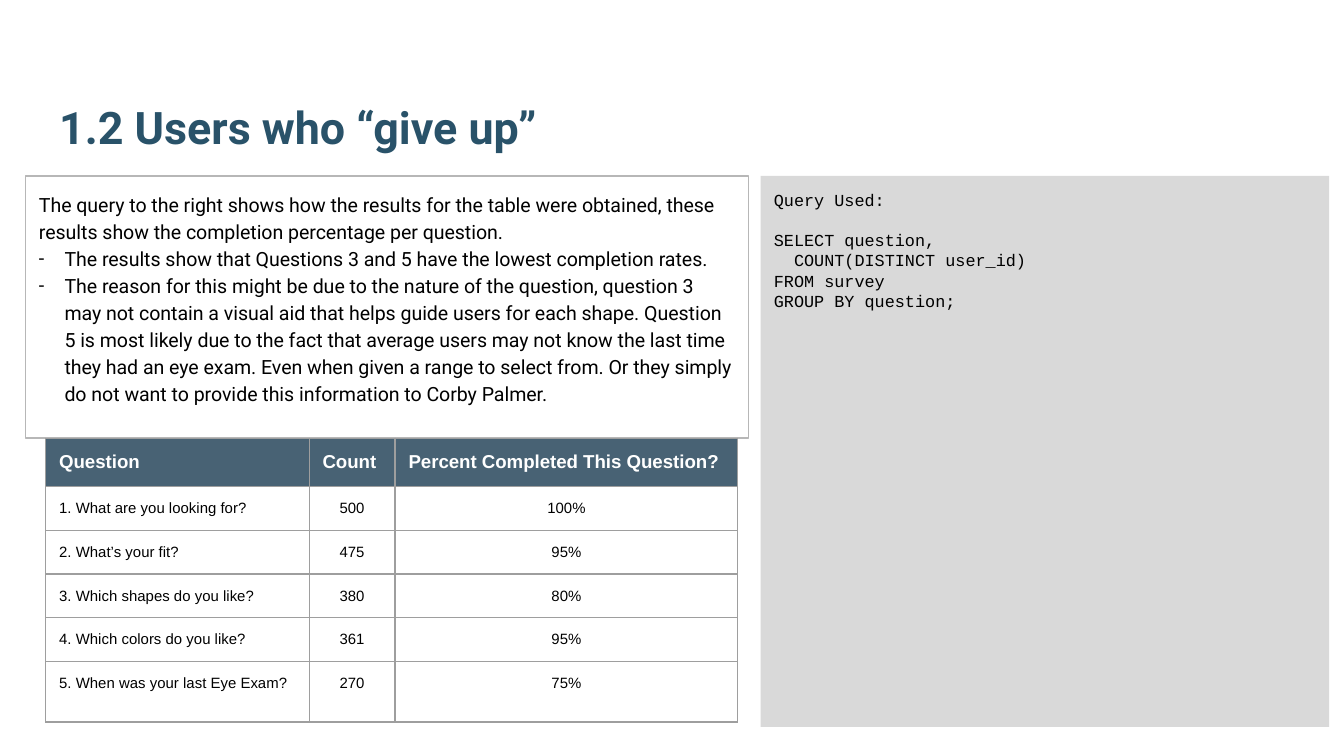
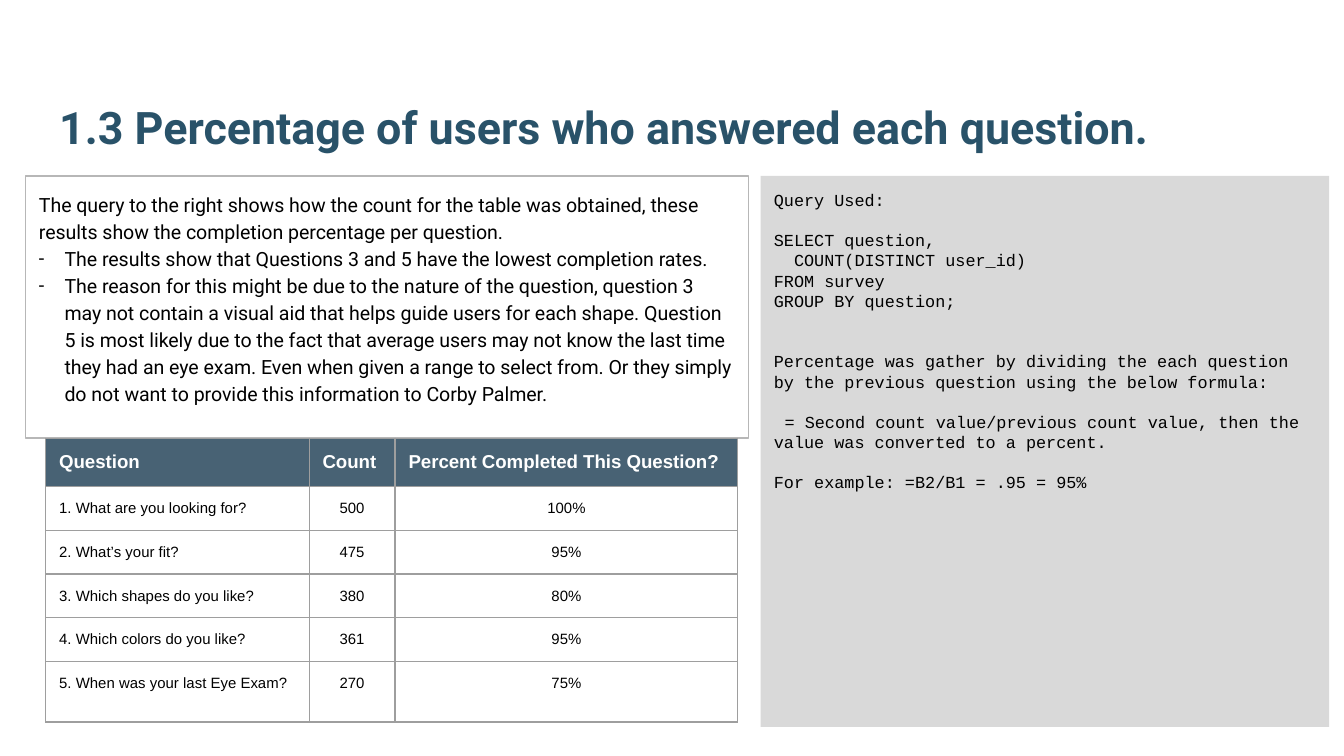
from dataclasses import dataclass

from lxml import etree
from pptx import Presentation
from pptx import util as u
from pptx.dml import color
from pptx.enum import shapes, text
from pptx.oxml import ns

NAVY, HEADER, BLACK, WHITE = "295269", "204056", "000000", "FFFFFF"
PANEL, OUTLINE, GRID = "D9D9D9", "B7B7B7", "9E9E9E"
HEADING_FONT, CODE_FONT, TABLE_FONT = "Roboto", "Courier New", "Arial"
SLIDE_WIDTH = u.Inches(10)
SLIDE_HEIGHT = SLIDE_WIDTH * 9 // 16
INSET = u.Inches(0.1)
CODE_LINE = 10.8
COLUMN_WIDTHS = (1.96, 0.64, 2.55)
ROW_HEIGHTS = (0.36, *[0.32] * 4, 0.45)


@dataclass(frozen=True)
class Area:
    left: float
    top: float
    width: float
    height: float

    def lengths(self) -> tuple:
        return tuple(u.Inches(v) for v in (self.left, self.top, self.width, self.height))


@dataclass(frozen=True)
class QueryLine:
    wording: str
    lines_before: int = 0
    first_indent: float = 0


@dataclass(frozen=True)
class Finding:
    title: str
    intro: str
    query: tuple


TITLE_AREA = Area(0.34, 0.32, 9.32, 0.92)
QUERY_AREA = Area(5.66, 1.31, 4.23, 4.1)
ANALYSIS_AREA = Area(0.19, 1.31, 5.38, 1.95)
RESULTS_AREA = Area(0.34, 3.26, sum(COLUMN_WIDTHS), sum(ROW_HEIGHTS))

REASONS = (
    "The results show that Questions 3 and 5 have the lowest completion rates.",
    "The reason for this might be due to the nature of the question, question 3 may not "
    "contain a visual aid that helps guide users for each shape. Question 5 is most likely "
    "due to the fact that average users may not know the last time they had an eye exam. "
    "Even when given a range to select from. Or they simply do not want to provide this "
    "information to Corby Palmer.",
)
RESULTS = (
    ("Question", "Count", "Percent Completed This Question?"),
    ("1. What are you looking for?", "500", "100%"),
    ("2. What’s your fit?", "475", "95%"),
    ("3. Which shapes do you like?", "380", "80%"),
    ("4. Which colors do you like?", "361", "95%"),
    ("5. When was your last Eye Exam?", "270", "75%"),
)
COUNT_QUERY = (
    QueryLine("Query Used:"),
    QueryLine("SELECT question,", 1),
    QueryLine("  COUNT(DISTINCT user_id)"),
    QueryLine("FROM survey"),
    QueryLine("GROUP BY question;"),
)
PERCENT_METHOD = (
    QueryLine("Percentage was gather by dividing the each question by the previous "
              "question using the below formula:", 2),
    QueryLine("= Second count value/previous count value, then the value was converted "
              "to a percent.", 1, 0.08),
    QueryLine("For example: =B2/B1 = .95 = 95%", 1),
)
FINDINGS = (
    Finding(
        "1.2 Users who “give up”",
        "The query to the right shows how the results for the table were obtained, these "
        "results show the completion percentage per question.",
        COUNT_QUERY,
    ),
    Finding(
        "1.3 Percentage of users who answered each question.",
        "The query to the right shows how the count for the table was obtained, these "
        "results show the completion percentage per question.",
        COUNT_QUERY + PERCENT_METHOD,
    ),
)


def rgb(value: str) -> color.RGBColor:
    return color.RGBColor.from_string(value)


def child(parent, tag: str, **attributes):
    element = etree.SubElement(parent, ns.qn(tag))
    for key, value in attributes.items():
        element.set(key, str(value))
    return element


def style(paragraph, face: str, size: float, ink: str, bold: bool = False) -> None:
    font = paragraph.font
    font.name, font.size, font.bold = face, u.Pt(size), bold
    font.color.rgb = rgb(ink)


def prepare(frame, anchor=text.MSO_ANCHOR.TOP) -> None:
    frame.word_wrap = True
    frame.auto_size = text.MSO_AUTO_SIZE.NONE
    frame.vertical_anchor = anchor
    frame.margin_left = frame.margin_right = INSET
    frame.margin_top = frame.margin_bottom = INSET


def place(holder, area: Area) -> None:
    holder.left, holder.top, holder.width, holder.height = area.lengths()


def add_line(frame, index: int, wording: str):
    paragraph = frame.paragraphs[0] if index == 0 else frame.add_paragraph()
    paragraph.text = wording
    paragraph.alignment = text.PP_ALIGN.LEFT
    return paragraph


def set_indent(paragraph, margin: float, first: float) -> None:
    properties = paragraph._p.get_or_add_pPr()
    properties.set("marL", str(u.Inches(margin)))
    properties.set("indent", str(u.Inches(first)))


def set_title(slide, wording: str) -> None:
    title = slide.shapes.title
    place(title, TITLE_AREA)
    prepare(title.text_frame, text.MSO_ANCHOR.BOTTOM)
    style(add_line(title.text_frame, 0, wording), HEADING_FONT, 24, NAVY, True)


def set_analysis(slide, intro: str) -> None:
    analysis = slide.placeholders[1]
    place(analysis, ANALYSIS_AREA)
    analysis.line.color.rgb = rgb(OUTLINE)
    analysis.line.width = u.Pt(0.75)
    prepare(analysis.text_frame)
    for index, wording in enumerate((intro, *REASONS)):
        paragraph = add_line(analysis.text_frame, index, wording)
        properties = paragraph._p.get_or_add_pPr()
        if index == 0:
            set_indent(paragraph, 0, 0)
            child(properties, "a:buNone")
        else:
            set_indent(paragraph, 0.19, -0.19)
            child(child(properties, "a:buClr"), "a:srgbClr", val=BLACK)
            child(properties, "a:buFont", typeface=HEADING_FONT)
            child(properties, "a:buChar", char="-")
        paragraph.line_spacing = 1.15
        paragraph.space_before = u.Pt(0)
        style(paragraph, HEADING_FONT, 10.5, BLACK)


def add_query(slide, lines: tuple) -> None:
    panel = slide.shapes.add_shape(shapes.MSO_SHAPE.RECTANGLE, *QUERY_AREA.lengths())
    panel.shadow.inherit = False
    panel.fill.solid()
    panel.fill.fore_color.rgb = rgb(PANEL)
    panel.line.fill.background()
    prepare(panel.text_frame)
    for index, line in enumerate(lines):
        paragraph = add_line(panel.text_frame, index, line.wording)
        if line.first_indent:
            set_indent(paragraph, 0, line.first_indent)
        if line.lines_before:
            paragraph.space_before = u.Pt(CODE_LINE * line.lines_before)
        style(paragraph, CODE_FONT, 9, BLACK)


def format_cell(cell, wording: str, is_header: bool, centred: bool) -> None:
    cell.margin_left = cell.margin_right = INSET
    cell.margin_top = cell.margin_bottom = INSET
    properties = cell._tc.get_or_add_tcPr()
    for side in ("a:lnL", "a:lnR", "a:lnT", "a:lnB"):
        border = child(properties, side, w=u.Pt(0.75))
        child(child(border, "a:solidFill"), "a:srgbClr", val=GRID)
    paragraph = add_line(cell.text_frame, 0, wording)
    if is_header:
        cell.fill.solid()
        cell.fill.fore_color.rgb = rgb(HEADER)
        child(properties.find(ns.qn("a:solidFill"))[0], "a:alpha", val=82000)
        style(paragraph, TABLE_FONT, 10, WHITE, True)
    else:
        cell.fill.background()
        style(paragraph, TABLE_FONT, 8, BLACK)
    if centred:
        paragraph.alignment = text.PP_ALIGN.CENTER


def add_results(slide) -> None:
    results = slide.shapes.add_table(
        len(RESULTS), len(COLUMN_WIDTHS), *RESULTS_AREA.lengths()).table
    results.horz_banding = False
    for column, width in zip(results.columns, COLUMN_WIDTHS):
        column.width = u.Inches(width)
    for row, height in zip(results.rows, ROW_HEIGHTS):
        row.height = u.Inches(height)
    for r, answers in enumerate(RESULTS):
        for c, wording in enumerate(answers):
            format_cell(results.cell(r, c), wording, r == 0, r > 0 and c > 0)


def main() -> None:
    deck = Presentation()
    deck.slide_width, deck.slide_height = SLIDE_WIDTH, SLIDE_HEIGHT
    for finding in FINDINGS:
        slide = deck.slides.add_slide(deck.slide_layouts[1])
        set_title(slide, finding.title)
        add_query(slide, finding.query)
        set_analysis(slide, finding.intro)
        add_results(slide)
    deck.save("out.pptx")


if __name__ == "__main__":
    main()
